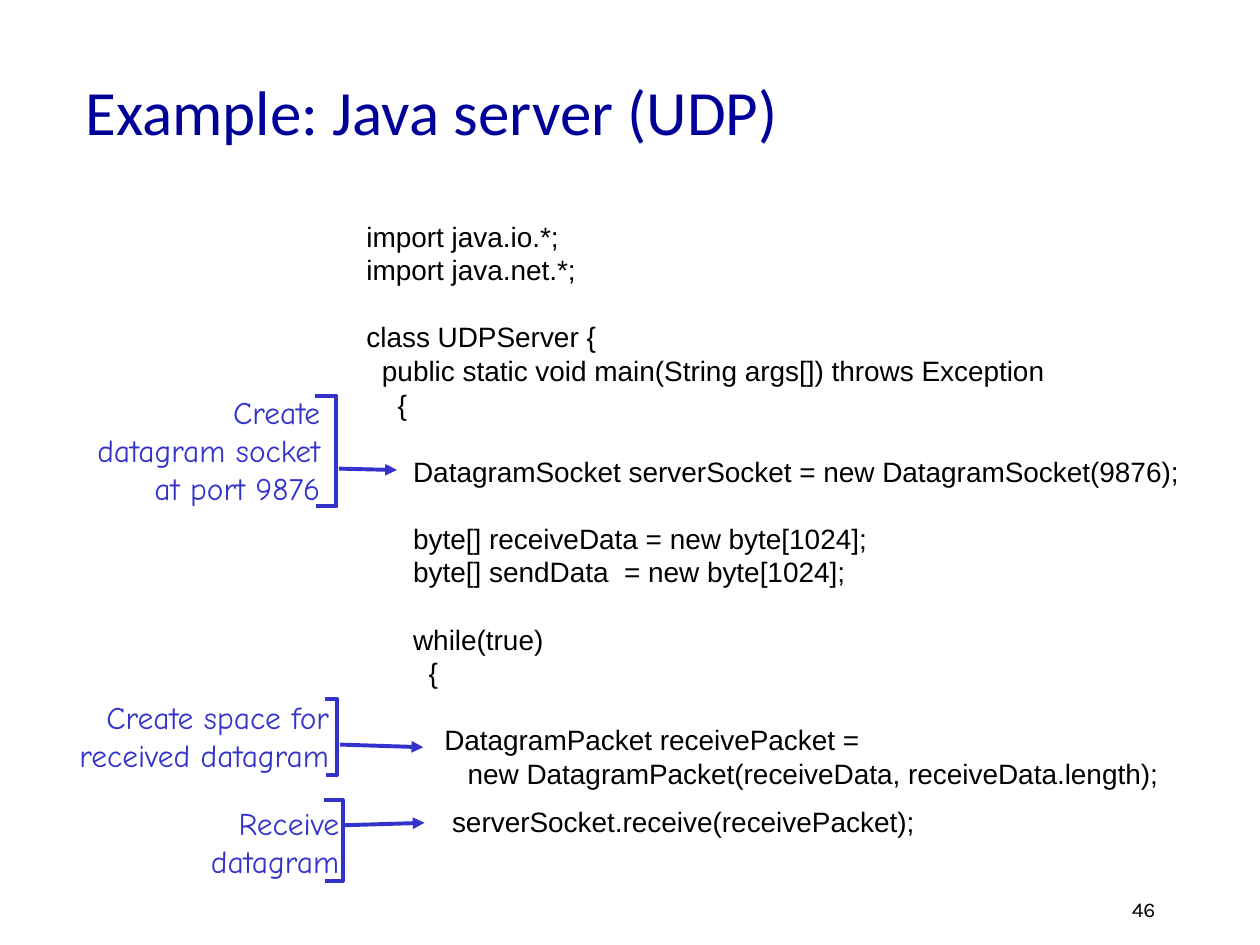
from lxml.etree import SubElement
from pptx import Presentation
from pptx.dml.color import RGBColor
from pptx.enum.shapes import MSO_CONNECTOR
from pptx.enum.text import MSO_ANCHOR, PP_ALIGN
from pptx.oxml.ns import qn
from pptx.util import Pt

NAVY = RGBColor(0x00, 0x00, 0x99)
BLUE = RGBColor(0x33, 0x33, 0xCC)
BLACK = RGBColor(0x00, 0x00, 0x00)

TITLE = {"name": "Calibri", "size": Pt(36), "color": NAVY}
CODE = {"name": "Arial", "size": Pt(16), "color": BLACK}
NOTE = {"name": "Comic Neue", "size": Pt(18), "color": BLUE}
NUMBER = {"name": "Karla", "size": Pt(12), "color": BLACK}

LEADING = 1.2       # line height as a multiple of the text size
SPACE_WIDTH = 4.45  # one space of the code font, in points

# Code lines: indent in spaces, gap above in points, text
CODE_LINES = [
    (0, 0, "import java.io.*;"),
    (0, 0, "import java.net.*;"),
    (0, 19.2, "class UDPServer {"),
    (2, 0, "public static void main(String args[]) throws Exception"),
    (4, 0, "{"),
    (6, 19.2, "DatagramSocket serverSocket = new DatagramSocket(9876);"),
    (6, 19.2, "byte[] receiveData = new byte[1024];"),
    (6, 0, "byte[] sendData  = new byte[1024];"),
    (6, 19.2, "while(true)"),
    (8, 0, "{"),
    (10, 19.2, "DatagramPacket receivePacket ="),
    (13, 0, "new DatagramPacket(receiveData, receiveData.length);"),
    (11, 8.2, "serverSocket.receive(receivePacket);"),
]

# Notes: lines, text box, bracket (top left x, bottom left x, right, top, bottom),
# arrow (from x, from y, to x, to y)
NOTES = [
    (["Create", "datagram socket", "at port 9876"], (35.3, 221, 154.8, 72),
     (180, 180.8, 192.2, 226.1, 289.4), (193.7, 267.8, 226.8, 268.6)),
    (["Create space for", "received datagram"], (24.5, 395.3, 170.6, 50.4),
     (185.8, 186.5, 192.8, 399.6, 442.8), (194.4, 425.5, 241.9, 427)),
    (["Receive", "datagram"], (104.4, 455.8, 96.5, 50.4),
     (185, 185.8, 195.8, 457.2, 503.3), (195.8, 471.6, 242.6, 470.2)),
]


def style_font(font, style):
    for key, value in style.items():
        if key == "color":
            font.color.rgb = value
        else:
            setattr(font, key, value)


def add_text(slide, box, lines, style, align=PP_ALIGN.LEFT, anchor=MSO_ANCHOR.TOP):
    """Write (indent, gap above, text) lines into a text box."""
    frame = slide.shapes.add_textbox(*map(Pt, box)).text_frame
    frame.word_wrap = True
    frame.vertical_anchor = anchor
    for index, (indent, gap, text) in enumerate(lines):
        paragraph = frame.add_paragraph() if index else frame.paragraphs[0]
        layout = {"alignment": align, "space_before": Pt(gap),
                  "line_spacing": Pt(style["size"].pt * LEADING)}
        for key, value in layout.items():
            setattr(paragraph, key, value)
        if indent:
            margin = Pt(indent * SPACE_WIDTH)
            paragraph._p.get_or_add_pPr().set("marL", str(int(margin)))
        run = paragraph.add_run()
        run.text = text
        style_font(run.font, style)


def style_line(line):
    line.color.rgb = BLUE
    line.width = Pt(2.25)


def add_bracket(slide, top_left, bottom_left, right, top, bottom):
    builder = slide.shapes.build_freeform(Pt(top_left), Pt(top))
    corners = [(right, top), (right, bottom), (bottom_left, bottom)]
    builder.add_line_segments([(Pt(x), Pt(y)) for x, y in corners], close=False)
    bracket = builder.convert_to_shape()
    bracket.shadow.inherit = False
    bracket.fill.background()
    style_line(bracket.line)


def add_arrow(slide, ends):
    arrow = slide.shapes.add_connector(MSO_CONNECTOR.STRAIGHT, *map(Pt, ends))
    style_line(arrow.line)
    SubElement(arrow.line._get_or_add_ln(), qn("a:tailEnd"), type="triangle")
    SubElement(arrow._element.spPr, qn("a:effectLst"))


def main():
    presentation = Presentation()
    presentation.slide_width, presentation.slide_height = Pt(720), Pt(540)
    slide = presentation.slides.add_slide(presentation.slide_layouts[6])

    # Title and program
    add_text(slide, (41.8, 18, 612, 90), [(0, 0, "Example: Java server (UDP)")],
             TITLE, anchor=MSO_ANCHOR.MIDDLE)
    add_text(slide, (202.3, 121.7, 485.3, 363.6), CODE_LINES, CODE)

    # Notes, each with its bracket and arrow
    for lines, box, bracket, arrow in NOTES:
        add_text(slide, box, [(0, 0, line) for line in lines], NOTE,
                 PP_ALIGN.RIGHT, MSO_ANCHOR.MIDDLE)
        add_bracket(slide, *bracket)
        add_arrow(slide, arrow)

    # Slide number
    add_text(slide, (439.2, 509, 228.2, 22.3), [(0, 0, "46")], NUMBER, PP_ALIGN.RIGHT)

    presentation.save("out.pptx")


if __name__ == "__main__":
    main()
